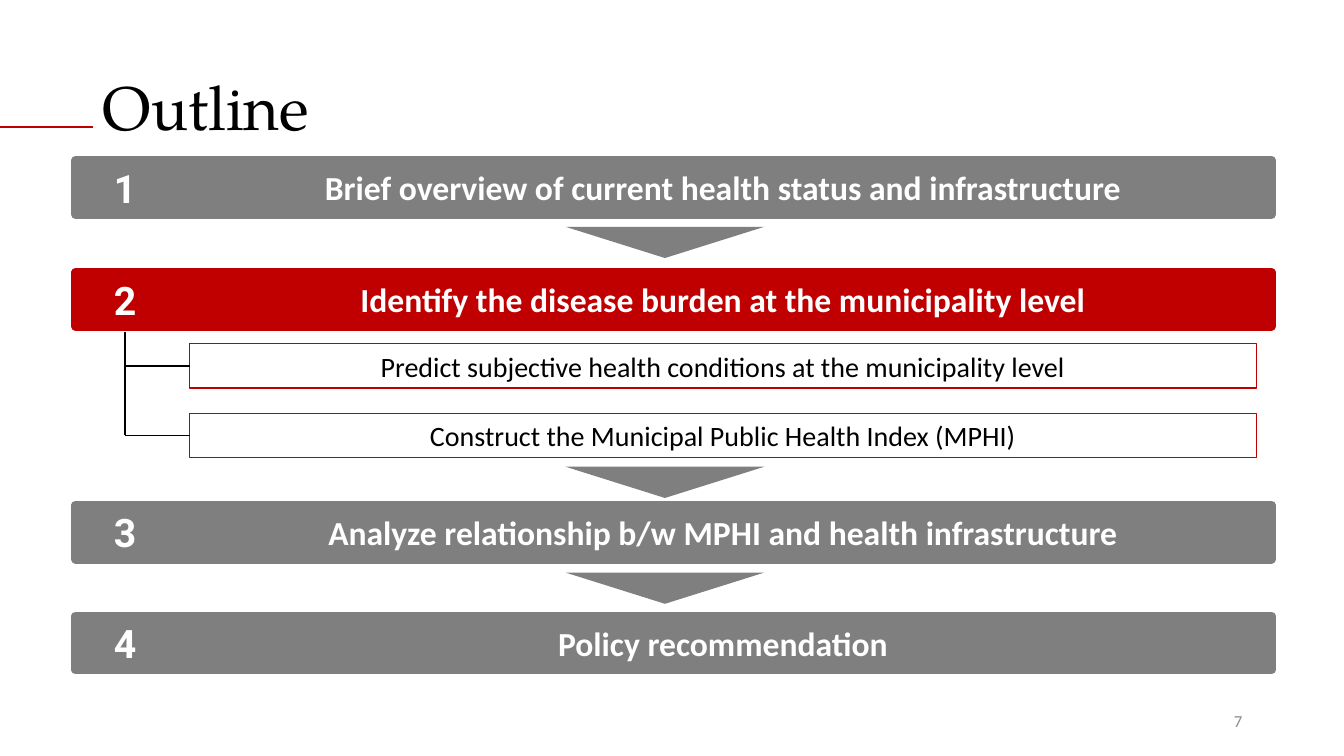
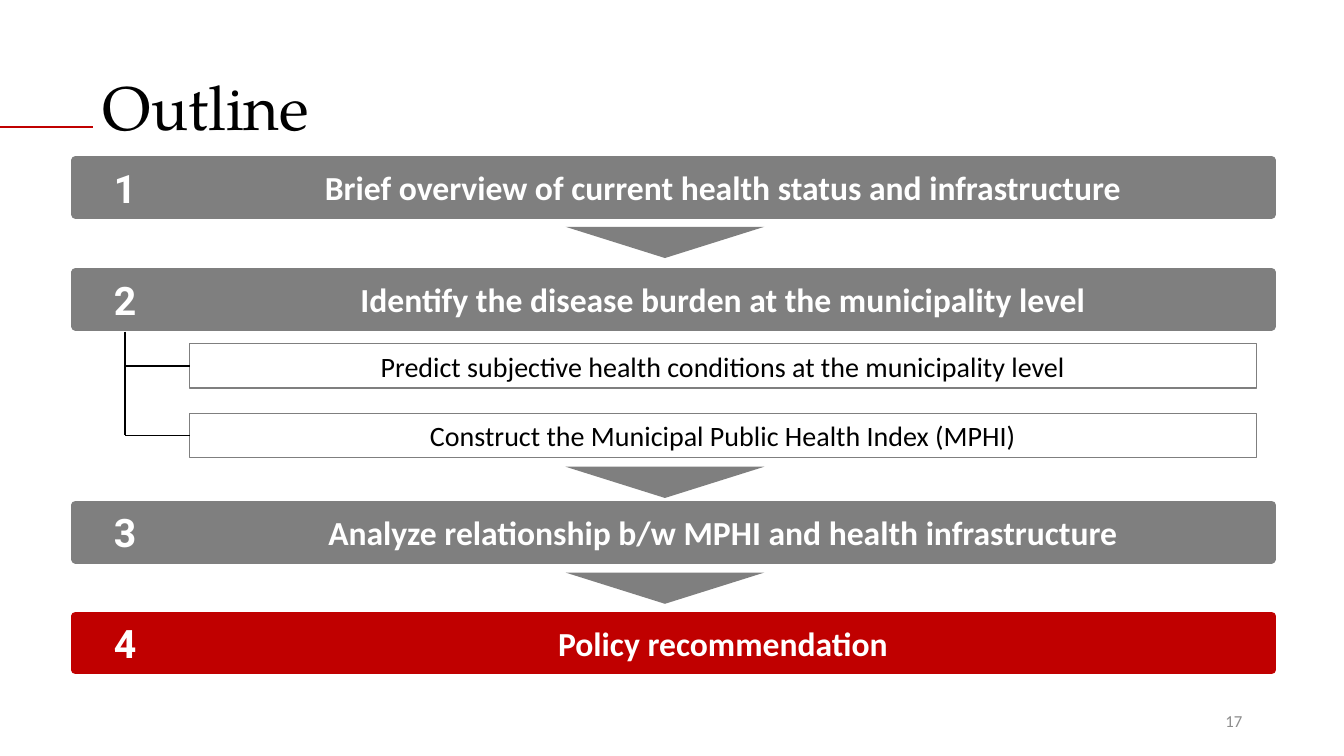
from lxml import etree
from pptx import Presentation
from pptx.dml.color import RGBColor
from pptx.enum.shapes import MSO_CONNECTOR as Connector, MSO_SHAPE as Shape
from pptx.enum.text import MSO_ANCHOR as Anchor, PP_ALIGN as Align
from pptx.oxml.ns import qn
from pptx.util import Inches, Pt

RED = RGBColor(0xC0, 0x00, 0x00)
GRAY = RGBColor(0x7F, 0x7F, 0x7F)
PAGE_GRAY = RGBColor(0x8C, 0x8C, 0x8C)
BLACK = RGBColor(0x00, 0x00, 0x00)
WHITE = RGBColor(0xFF, 0xFF, 0xFF)

TITLE_FONT, BODY_FONT, NUMBER_FONT = "TeX Gyre Pagella", "Calibri", "Roboto"

LEFT, WIDTH = 0.75, 11.86
NUMBER_WIDTH, BAND_HEIGHT = 0.98, 0.54
STEPS = [
    (1.59, "Brief overview of current health status and infrastructure"),
    (2.7, "Identify the disease burden at the municipality level"),
    (5.01, "Analyze relationship b/w MPHI and health infrastructure"),
    (6.11, "Policy recommendation"),
]
SUBSTEPS = [
    "Predict subjective health conditions at the municipality level",
    "Construct the Municipal Public Health Index (MPHI)",
]
SUBSTEP_STEP = 2
ARROW_TOPS = [2.25, 4.63, 5.68]
SUBSTEP_GAP, SUBSTEP_PITCH, SUBSTEP_HEIGHT = 0.17, 0.69, 0.44


def write(holder, text, size, font, color, align, bold=False):
    frame = holder.text_frame
    frame.word_wrap = True
    frame.vertical_anchor = Anchor.MIDDLE
    paragraph = frame.paragraphs[0]
    paragraph.text = text
    paragraph.alignment = align
    paragraph.font.size = Pt(size)
    paragraph.font.name = font
    paragraph.font.bold = bold
    paragraph.font.color.rgb = color
    return paragraph


def add_label(slide, box, *style):
    return write(slide.shapes.add_textbox(*map(Inches, box)), *style)


def add_block(slide, box, fill, border=None, weight=0, preset=Shape.RECTANGLE):
    block = slide.shapes.add_shape(preset, *map(Inches, box))
    block.shadow.inherit = False
    block.fill.solid()
    block.fill.fore_color.rgb = fill
    if border is None:
        block.line.fill.background()
    else:
        block.line.color.rgb = border
        block.line.width = Pt(weight)
    return block


def add_line(slide, start, end, color, weight):
    line = slide.shapes.add_connector(
        Connector.STRAIGHT, *map(Inches, (*start, *end)))
    line.line.color.rgb = color
    line.line.width = Pt(weight)
    etree.SubElement(line._element.spPr, qn("a:effectLst"))


def add_frame(slide, title, page):
    add_label(slide, (9.42, 6.95, 3, 0.4),
              str(page), 12, BODY_FONT, PAGE_GRAY, Align.RIGHT)
    add_line(slide, (0.92, 1.26), (0, 1.26), RED, 1.5)
    heading = add_label(slide, (0.92, 0.4, 11.5, 1.4),
                        title, 44, TITLE_FONT, BLACK, Align.LEFT)
    heading.line_spacing = 0.9


def add_step(slide, box, number, text, color):
    left, top, width, height = box
    number_block = add_block(
        slide, (left, top, NUMBER_WIDTH, height), color, color, 6)
    write(number_block, str(number), 28, NUMBER_FONT, WHITE, Align.CENTER, True)
    text_block = add_block(
        slide, (left + NUMBER_WIDTH, top, width - NUMBER_WIDTH, height),
        color, color, 6)
    write(text_block, text, 24, BODY_FONT, WHITE, Align.CENTER, True)


def add_substeps(slide, box, color):
    left, top, width, _ = box
    trunk = left + NUMBER_WIDTH / 2
    box_left = left + 1.13
    for row, text in enumerate(SUBSTEPS):
        row_top = top + SUBSTEP_GAP + row * SUBSTEP_PITCH
        substep = add_block(
            slide, (box_left, row_top, width - 1.28, SUBSTEP_HEIGHT),
            WHITE, color, 1)
        write(substep, text, 20, BODY_FONT, BLACK, Align.CENTER)
        middle = row_top + SUBSTEP_HEIGHT / 2
        add_line(slide, (box_left, middle), (trunk, middle), BLACK, 1)
    add_line(slide, (trunk, top + 0.05), (trunk, middle), BLACK, 1)


def add_outline(slide, page, current):
    add_frame(slide, "Outline", page)
    for number, (top, text) in enumerate(STEPS, 1):
        color = RED if number == current else GRAY
        add_step(slide, (LEFT, top, WIDTH, BAND_HEIGHT), number, text, color)
        if number == SUBSTEP_STEP:
            add_substeps(slide, (LEFT, top + BAND_HEIGHT, WIDTH, 1.3), color)
    for top in ARROW_TOPS:
        arrow = add_block(slide, (5.61, top, 1.97, 0.31), GRAY,
                          preset=Shape.ISOSCELES_TRIANGLE)
        arrow.rotation = 180


def main():
    deck = Presentation()
    deck.slide_width, deck.slide_height = Inches(13.33), Inches(7.5)
    for page, current in [(7, 2), (17, 4)]:
        add_outline(deck.slides.add_slide(deck.slide_layouts[6]), page, current)
    deck.save("out.pptx")


if __name__ == "__main__":
    main()
